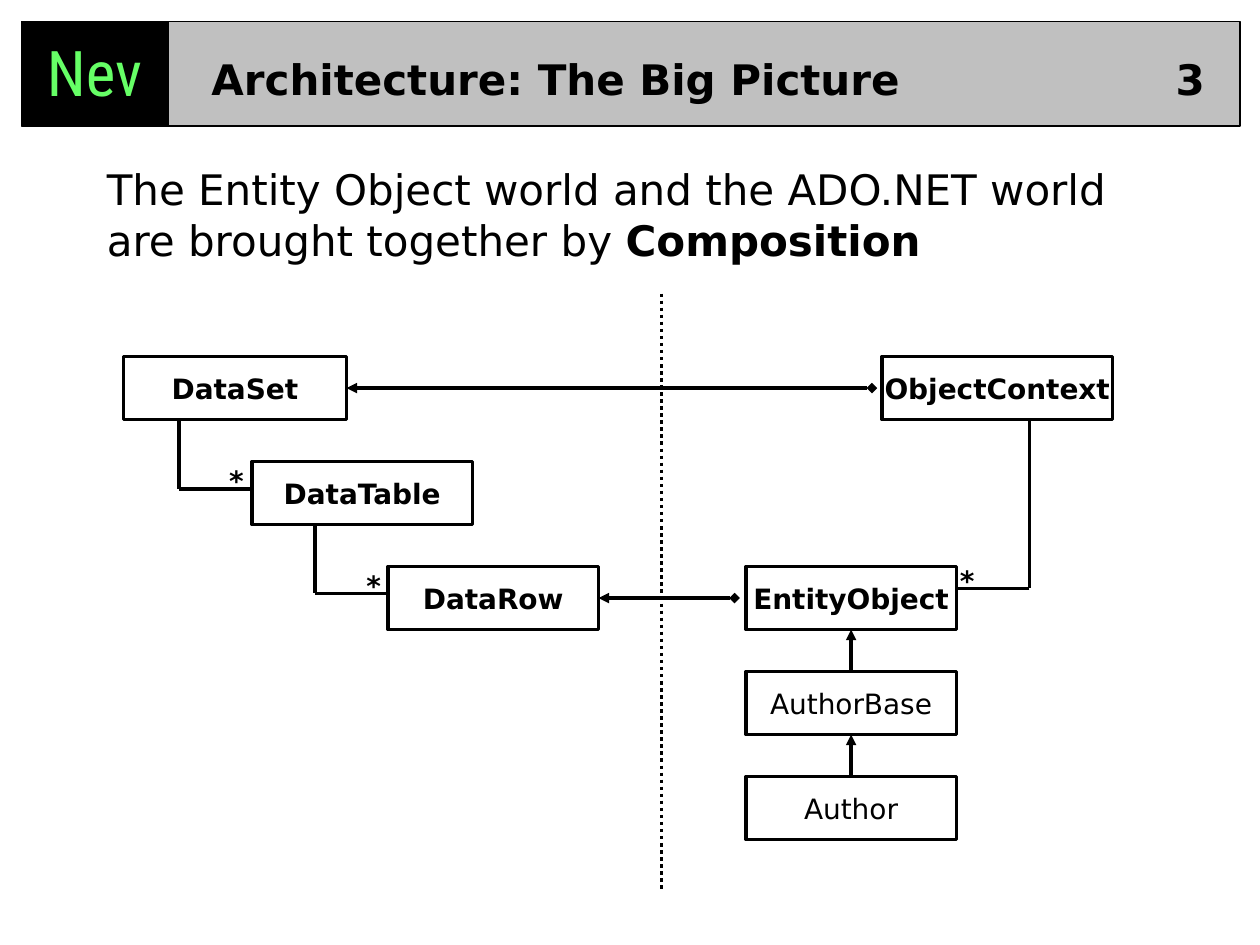
from lxml import etree
from pptx import Presentation
from pptx.dml.color import RGBColor
from pptx.enum import dml, shapes, text
from pptx.oxml.ns import qn
from pptx.util import Inches, Pt

BLACK = RGBColor(0x00, 0x00, 0x00)
GREY = RGBColor(0xC0, 0xC0, 0xC0)
GREEN = RGBColor(0x66, 0xFF, 0x66)
FONT = "DejaVu Sans"
LEFT, CENTER, RIGHT = text.PP_ALIGN.LEFT, text.PP_ALIGN.CENTER, text.PP_ALIGN.RIGHT
TOP, MIDDLE = text.MSO_ANCHOR.TOP, text.MSO_ANCHOR.MIDDLE

TITLE = "Architecture: The Big Picture"
MESSAGE = [("The Entity Object world and the ADO.NET world are brought together by ", False),
           ("Composition", True)]

ROW_TOP, ROW_STEP, BOX_HEIGHT = 2.83, 2.5 / 3, 0.5
# name: (left, row, width, bold)
CLASSES = {
    "DataSet": (0.98, 0, 1.77, True),
    "DataTable": (2, 1, 1.75, True),
    "DataRow": (3.08, 2, 1.67, True),
    "ObjectContext": (7, 0, 1.83, True),
    "EntityObject": (5.92, 2, 1.67, True),
    "AuthorBase": (5.92, 3, 1.67, False),
    "Author": (5.92, 4, 1.67, False),
}
INHERITANCE = [("EntityObject", "AuthorBase"), ("AuthorBase", "Author")]
# class pointed at, x of the diamond
COMPOSITIONS = [("DataSet", 6.92), ("DataRow", 5.83)]
# owner row, stem x, (end x, end y), left of the star
ONE_TO_MANY = [
    (0, 1.42, (2, 3.88), 1.72),
    (1, 2.5, (3.08, 4.71), 2.81),
    (0, 8.17, (7.58, 4.67), 7.52),
]

deck = Presentation()
deck.slide_width, deck.slide_height = Inches(10), Inches(7.5)
page = deck.slides.add_slide(deck.slide_layouts[6])


def row_top(row):
    return ROW_TOP + row * ROW_STEP


def add_rectangle(left, top, width, height, fill=None, line_width=None):
    box = page.shapes.add_shape(shapes.MSO_SHAPE.RECTANGLE, Inches(left), Inches(top),
                                Inches(width), Inches(height))
    box.shadow.inherit = False
    if fill is None:
        box.fill.background()
    else:
        box.fill.solid()
        box.fill.fore_color.rgb = fill
    if line_width is None:
        box.line.fill.background()
    else:
        box.line.color.rgb = BLACK
        box.line.width = Pt(line_width)
    return box


def write(box, spans, size, bold=False, align=LEFT, anchor=TOP, wrap=True,
          color=BLACK, font=FONT):
    """Fill a shape with one paragraph; spans is a string or (text, bold) pairs."""
    frame = box.text_frame
    frame.word_wrap = wrap
    frame.vertical_anchor = anchor
    para = frame.paragraphs[0]
    para.alignment = align
    para.font.size, para.font.name = Pt(size), font
    para.font.color.rgb = color
    if isinstance(spans, str):
        spans = [(spans, bold)]
    for words, is_bold in spans:
        span = para.add_run()
        span.text = words
        span.font.bold = is_bold
    return para


def add_text(left, top, width, height, spans, size, **style):
    box = page.shapes.add_textbox(Inches(left), Inches(top), Inches(width), Inches(height))
    return write(box, spans, size, **style)


def add_line(start, end, head=None, tail=None):
    line = page.shapes.add_connector(shapes.MSO_CONNECTOR.STRAIGHT,
                                     *map(Inches, (*start, *end)))
    line.line.color.rgb = BLACK
    line.line.width = Pt(2)
    outline = line.line._get_or_add_ln()
    for tag, kind in (("a:headEnd", head), ("a:tailEnd", tail)):
        if kind:
            etree.SubElement(outline, qn(tag), type=kind)
    etree.SubElement(line._element.spPr, qn("a:effectLst"))
    return line


# Header
add_rectangle(0.17, 0.17, 9.67, 0.83, GREY, 1)
add_rectangle(0.17, 0.17, 1.17, 0.83, BLACK)
add_text(0.25, 0.22, 1, 0.73, "Nev", 36, align=CENTER, color=GREEN, font="Roboto Condensed")
add_text(1.58, 0.25, 6.92, 0.75, TITLE, 24, bold=True, anchor=MIDDLE)
add_text(8.33, 0.25, 1.33, 0.75, "3", 24, bold=True, align=RIGHT, anchor=MIDDLE)
add_text(0.75, 1.25, 8.5, 1, MESSAGE, 24).space_after = Pt(15)

# Classes
boxes = {}
for name, (left, row, width, bold) in CLASSES.items():
    boxes[name] = add_rectangle(left, row_top(row), width, BOX_HEIGHT, line_width=2)
    write(boxes[name], name, 16, bold=bold, align=CENTER, anchor=MIDDLE, wrap=False)

# Relations
for parent, child in INHERITANCE:
    left, row, width, _ = CLASSES[parent]
    middle = left + width / 2
    arrow = add_line((middle, row_top(row) + BOX_HEIGHT), (middle, row_top(row + 1)),
                     head="triangle")
    arrow.begin_connect(boxes[parent], 2)
    arrow.end_connect(boxes[child], 0)

for part, diamond_x in COMPOSITIONS:
    left, row, width, _ = CLASSES[part]
    middle = row_top(row) + BOX_HEIGHT / 2
    arrow = add_line((left + width, middle), (diamond_x, middle),
                     head="triangle", tail="diamond")
    arrow.begin_connect(boxes[part], 3)

for row, stem_x, (end_x, end_y), star_left in ONE_TO_MANY:
    add_line((stem_x, row_top(row) + BOX_HEIGHT), (stem_x, end_y))
    add_line((stem_x, end_y), (end_x, end_y))
    add_text(star_left, end_y - 0.25, 0.36, 0.37, "*", 16, bold=True)

divider = add_line((5.25, 2.33), (5.25, 7.08))
divider.line.dash_style = dml.MSO_LINE.ROUND_DOT

deck.save("out.pptx")
